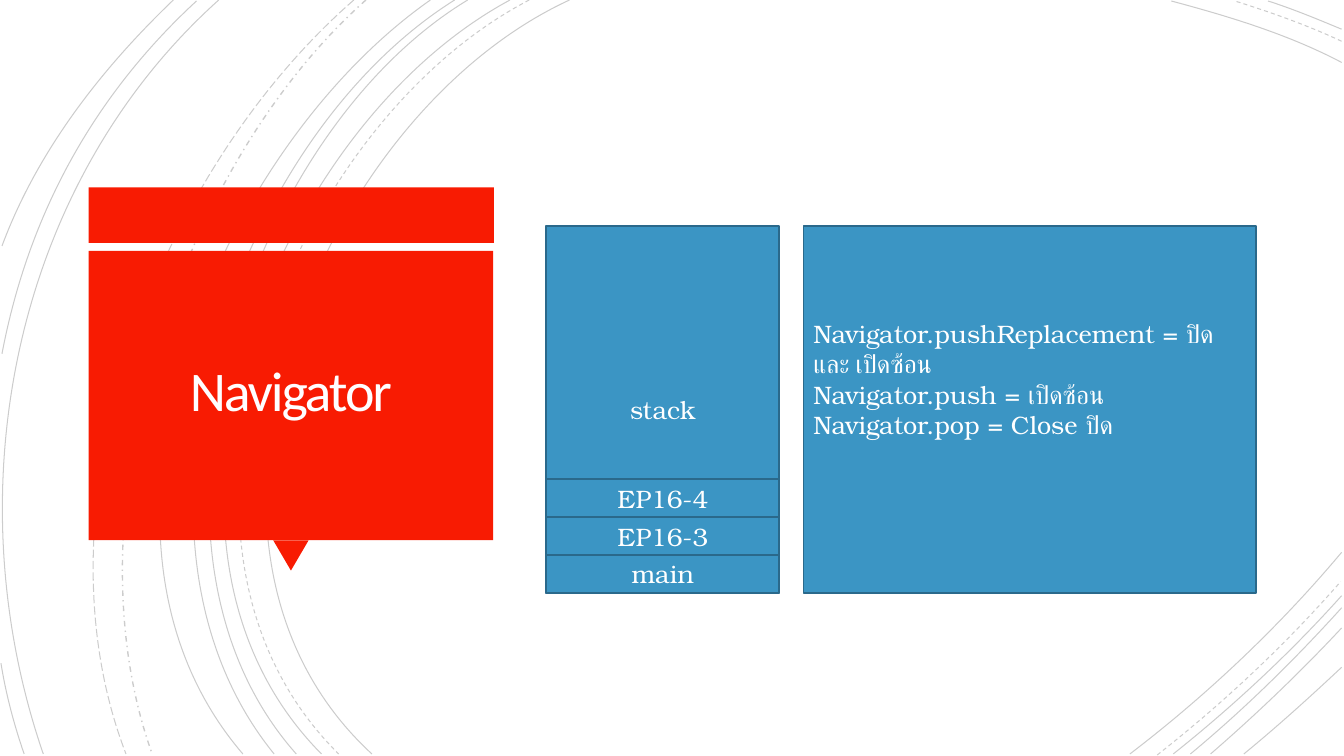
from lxml import etree
from pptx import Presentation, util as u
from pptx.dml import color
from pptx.enum import dml, shapes, text
from pptx.oxml import ns

theme = {
    "red": "F81B02", "blue": "3B95C4", "edge": "2A698B",
    "arc": "000000", "white": "FFFFFF", "head": "FFFEFF",
    "font": "TeX Gyre Bonum", "title": "Calibri",
    "body": 18, "big": 40, "rule": 1.25,
}
rgb = color.RGBColor.from_string

deck = Presentation()
deck.slide_width, deck.slide_height = u.Inches(13.333), u.Inches(7.5)
slide = deck.slides.add_slide(deck.slide_layouts[5])
# Grid: 100 columns by 100 rows
col, row = deck.slide_width / 100, deck.slide_height / 100


def block(kind, x, y, w, h, fill, edge=None):
    item = slide.shapes.add_shape(
        kind, int(x * col), int(y * row), int(w * col), int(h * row))
    item.shadow.inherit = False
    item.fill.solid()
    item.fill.fore_color.rgb = rgb(fill)
    if edge:
        item.line.color.rgb = rgb(edge)
        item.line.width = u.Pt(theme["rule"])
    else:
        item.line.fill.background()
    return item


def write(item, lines, align, font, size, ink):
    frame = item.text_frame
    frame.word_wrap = True
    frame.vertical_anchor = text.MSO_ANCHOR.MIDDLE
    for i, line in enumerate(lines):
        para = frame.paragraphs[0] if i == 0 else frame.add_paragraph()
        para.alignment = align
        run = para.add_run()
        run.text = line
        run.font.name = font
        run.font.size = u.Pt(size)
        run.font.color.rgb = rgb(ink)
    return frame


# Background arcs: start, two handles and end of each curve, in inches
solid, dash = dml.MSO_LINE.SOLID, dml.MSO_LINE.DASH
arcs = [
    (solid, 5.65, 0, 3.15, 1.15, 1.43, 5.4, 3.69, 7.48),
    (solid, 13.31, 0.62, 12.78, 0.34, 12.18, 0.16, 11.62, 0.01),
    (solid, 11.21, 7.48, 11.97, 6.9, 12.69, 6.22, 13.31, 5.48),
    (dash, 5.25, 0, 2.85, 1.25, 1.23, 5.37, 3.36, 7.48),
    (dash, 13.31, 0.41, 12.97, 0.25, 12.6, 0.12, 12.25, 0.01),
    (dash, 11.48, 7.49, 12.13, 6.98, 12.75, 6.4, 13.3, 5.77),
    (solid, 5.06, 0, 2.7, 1.27, 1.1, 5.37, 3.19, 7.48),
    (solid, 13.31, 0.29, 13.07, 0.19, 12.83, 0.09, 12.58, 0.01),
    (solid, 11.64, 7.48, 12.23, 7.01, 12.8, 6.48, 13.31, 5.91),
    (solid, 4.64, 0, 2.44, 1.33, 1.1, 5.41, 2.94, 7.48),
    (solid, 11.81, 7.48, 12.34, 7.04, 12.84, 6.55, 13.31, 6.03),
    (solid, 4.51, 0, 2.31, 1.38, 0.97, 5.33, 2.72, 7.48),
    (solid, 12.01, 7.48, 12.46, 7.09, 12.9, 6.67, 13.31, 6.23),
    (solid, 4.27, 0, 2.17, 1.47, 0.53, 5.29, 2.41, 7.48),
    (solid, 12.34, 7.48, 12.67, 7.21, 12.99, 6.92, 13.31, 6.62),
    (dml.MSO_LINE.DASH_DOT, 3.63, 0, 1.76, 1.66, 0.65, 5.09, 1.51, 7.48),
    (dml.MSO_LINE.LONG_DASH, 3.51, 0, 1.57, 1.69, 0.29, 4.99, 1.25, 7.48),
    (solid, 2.17, 0, 0.11, 1.85, -0.46, 4.9, 0.43, 7.48),
    (solid, 1.95, 0.01, 0.92, 0.96, 0.28, 2.14, 0.02, 3.51),
    (solid, 0.01, 6.58, 0.06, 6.89, 0.14, 7.19, 0.24, 7.48),
    (solid, 1.72, 0, 1, 0.69, 0.37, 1.5, 0.02, 2.44),
]
for style, *spots in arcs:
    nums = [u.Inches(n) for n in spots]
    pen = slide.shapes.build_freeform(nums[0], nums[1])
    pen.add_line_segments(list(zip(nums[2::2], nums[3::2])), close=False)
    arc = pen.convert_to_shape()
    arc.shadow.inherit = False
    arc.fill.background()
    arc.line.color.rgb = rgb(theme["arc"])
    arc.line.width = u.Pt(1 if style == dml.MSO_LINE.DASH_DOT else 0.75)
    arc.line.dash_style = style
    # Faint ink
    ink = arc.line._ln.find(".//" + ns.qn("a:srgbClr"))
    etree.SubElement(ink, ns.qn("a:alpha"), val="20000")
    # Turn the three segments into one Bezier curve
    trace = arc._element.find(".//" + ns.qn("a:path"))
    curve = etree.SubElement(trace, ns.qn("a:cubicBezTo"))
    for seg in trace.findall(ns.qn("a:lnTo")):
        curve.append(seg[0])
        trace.remove(seg)

# Red title panel with its pointer
rect, tri = shapes.MSO_SHAPE.RECTANGLE, shapes.MSO_SHAPE.ISOSCELES_TRIANGLE
block(rect, 6.6, 24.8, 30.15, 7.33, theme["red"])
block(tri, 20.33, 71.47, 2.63, 4, theme["red"]).rotation = 180
block(rect, 6.6, 33.2, 30.1, 38.27, theme["red"])

# Title
mid = text.PP_ALIGN.CENTER
title = slide.shapes.title
title.left, title.top = int(7.28 * col), int(34.27 * row)
title.width, title.height = int(28.73 * col), int(35.87 * row)
frame = write(title, ["Navigator"], mid,
              theme["title"], theme["big"], theme["head"])
frame.auto_size = text.MSO_AUTO_SIZE.NONE
frame.margin_left = frame.margin_right = u.Inches(0.25)
frame.margin_top = frame.margin_bottom = u.Inches(0.25)
para = frame.paragraphs[0]
para.line_spacing = 0.85
para.runs[0].font._element.set("spc", "-150")
slide.shapes._spTree.append(title._element)

# Stack with its layers, piled up from the bottom
left, top, wide, tall, step = 40.65, 29.87, 17.33, 48.53, 5
parts = [("stack", top, tall)]
for i, name in enumerate(["main", "EP16-3", "EP16-4"], 1):
    parts.append((name, top + tall - i * step, step))
for name, y, h in parts:
    box = block(rect, left, y, wide, h, theme["blue"], theme["edge"])
    write(box, [name], mid, theme["font"], theme["body"], theme["white"])

# Notes on the calls, set above the middle
box = block(rect, 59.78, top, 33.68, tall, theme["blue"], theme["edge"])
frame = write(box, [
    "Navigator.pushReplacement = ปิด และ เปิดซ้อน",
    "Navigator.push = เปิดซ้อน",
    "Navigator.pop = Close ปิด",
], text.PP_ALIGN.LEFT, theme["font"], theme["body"], theme["white"])
frame.margin_bottom = u.Inches(0.65)

deck.save("out.pptx")
